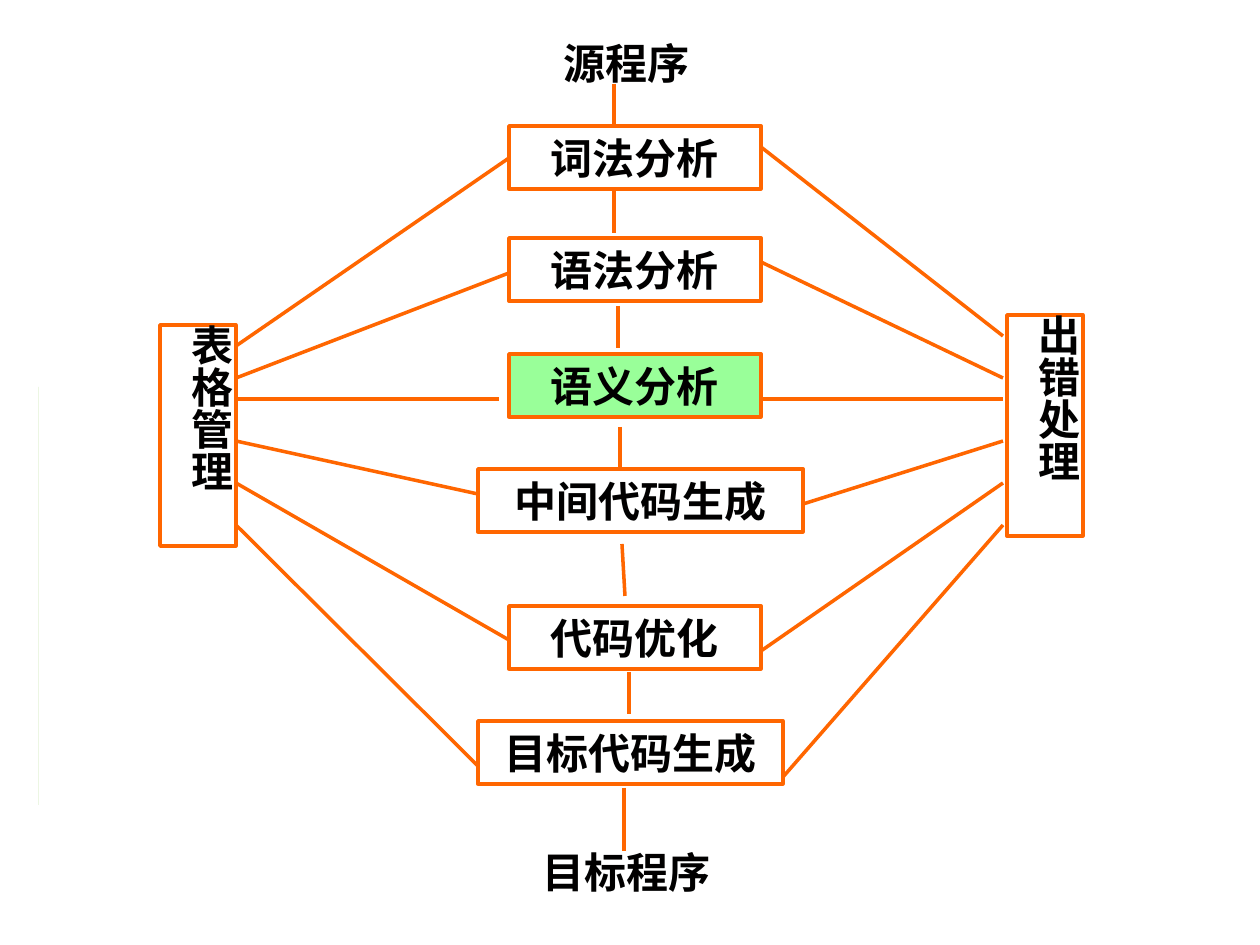
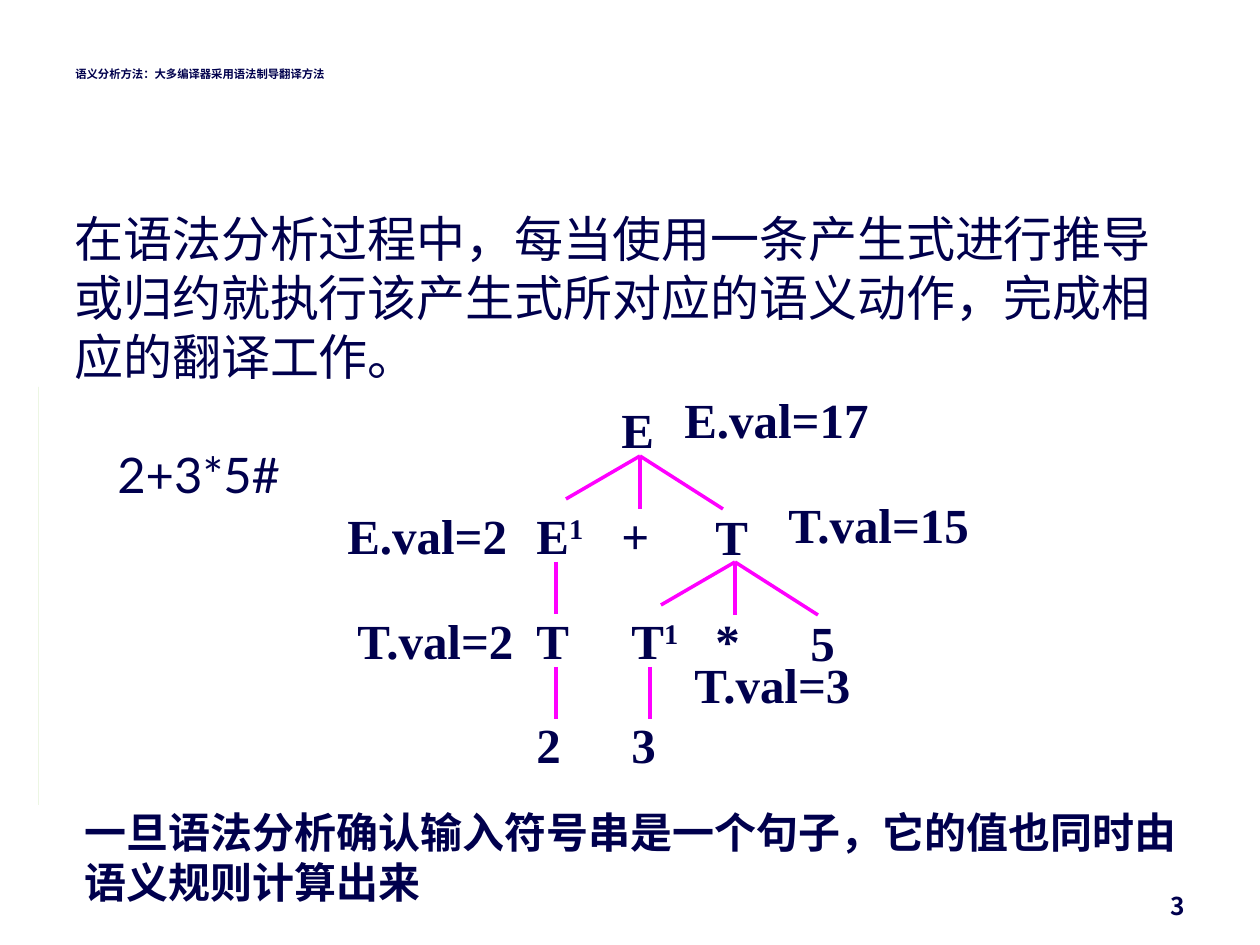
"""Builds two slides on semantic analysis: compiler phases and syntax-directed evaluation."""
import pptx
import pptx.dml.color
import pptx.enum.shapes
import pptx.enum.text
import pptx.oxml.ns
import pptx.util
from lxml import etree

EMU_PER_PX = 914400 / 126
ALIGN = pptx.enum.text.PP_ALIGN
ANCHOR = pptx.enum.text.MSO_ANCHOR
RECT = pptx.enum.shapes.MSO_SHAPE.RECTANGLE
STRAIGHT = pptx.enum.shapes.MSO_CONNECTOR.STRAIGHT
THEME = {
    "ink": "010000", "navy": "00004D", "orange": "FF6600", "magenta": "FF00FF",
    "white": "FFFFFF", "current": "99FF99", "edge": "6BBA27",
    "cjk": "Noto Sans CJK SC", "serif": "Times New Roman", "sans": "Lato",
    "title": 6.5, "number": 14, "label": 24, "body": 28, "stroke": 2,
}


def px(*lengths):
    return [round(length * EMU_PER_PX) for length in lengths]


def rgb(name):
    return pptx.dml.color.RGBColor.from_string(THEME[name])


def write(shape, text, size="label", color="ink", font="cjk", bold=True, raised="",
          align=ALIGN.LEFT, spacing=None, **frame_format):
    frame = shape.text_frame
    settings = {"word_wrap": True, "vertical_anchor": ANCHOR.MIDDLE,
                "margin_top": 0, "margin_bottom": 0, **frame_format}
    for name, value in settings.items():
        setattr(frame, name, value)
    paragraph = frame.paragraphs[0]
    paragraph.alignment = align
    if spacing:
        paragraph.line_spacing = pptx.util.Pt(spacing)
    for part in filter(None, (text, raised)):
        run = paragraph.add_run()
        run.text = part
        for name, value in {"name": THEME[font], "bold": bold,
                            "size": pptx.util.Pt(THEME[size])}.items():
            setattr(run.font, name, value)
        run.font.color.rgb = rgb(color)
        properties = run._r.get_or_add_rPr()
        east_asian = etree.Element(pptx.oxml.ns.qn("a:ea"), typeface=THEME["cjk"])
        properties.find(pptx.oxml.ns.qn("a:latin")).addnext(east_asian)
        if part == raised:
            properties.set("baseline", "30000")


def connect(slide, color, *ends):
    line = slide.shapes.add_connector(STRAIGHT, *px(*ends))
    line.line.color.rgb = rgb(color)
    line.line.width = pptx.util.Pt(THEME["stroke"])
    etree.SubElement(line._element.spPr, pptx.oxml.ns.qn("a:effectLst"))


deck = pptx.Presentation()
deck.slide_width, deck.slide_height = px(1260, 945)
phases, evaluation = [deck.slides.add_slide(deck.slide_layouts[6]) for _ in range(2)]
for slide in (phases, evaluation):
    outline = slide.shapes.build_freeform(39, 387, scale=EMU_PER_PX)
    outline.add_line_segments([(39, 399), (39, 805)], close=True)
    edge = outline.convert_to_shape()
    edge.shadow.inherit = False
    edge.fill.solid()
    edge.fill.fore_color.rgb = rgb("edge")
    edge.line.fill.background()

for program, left, top, width in [("目标程序", 530, 840, 221), ("源程序", 551, 31, 158)]:
    write(phases.shapes.add_textbox(*px(left, top, width, 63)), program)

stages = [
    ("词法分析", 509, 126, 252, "white"),
    ("语法分析", 509, 238, 252, "white"),
    ("语义分析", 509, 354, 252, "current"),
    ("中间代码生成", 478, 469, 325, "white"),
    ("代码优化", 509, 606, 252, "white"),
    ("目标代码生成", 478, 721, 305, "white"),
]
services = [("表格管理", 160, 325, 76, "white"), ("出错处理", 1007, 315, 76, "white")]
for box in stages + services:
    name, left, top, width, fill = box
    upright = box in services
    block = phases.shapes.add_shape(RECT, *px(left, top, width, 221 if upright else 63))
    block.shadow.inherit = False
    block.fill.solid()
    block.fill.fore_color.rgb = rgb(fill)
    block.line.color.rgb = rgb("orange")
    block.line.width = pptx.util.Pt(THEME["stroke"])
    if upright:
        write(block, name, align=ALIGN.CENTER, vertical_anchor=ANCHOR.TOP, margin_right=0)
        block.text_frame._txBody.bodyPr.set("vert", "eaVert")
    else:
        write(block, name, align=ALIGN.CENTER)

for step in [(614, 84, 614, 126), (614, 191, 614, 233), (618, 306, 618, 348),
             (620, 427, 620, 469), (622, 544, 625, 596), (629, 672, 629, 714),
             (624, 788, 624, 851)]:
    connect(phases, "orange", *step)

table_ys = [346, 378, 399, 441, 483, 525]
error_ys = [336, 378, 399, 441, 483, 525]
left_ends = [(509, 158), (509, 273), (499, 399), (478, 494), (509, 640), (478, 766)]
right_ys = [147, 262, 399, 504, 651, 777]
for stage, table_y, error_y, left_end, right_y in zip(
        stages, table_ys, error_ys, left_ends, right_ys):
    connect(phases, "orange", 236, table_y, *left_end)
    connect(phases, "orange", stage[1] + stage[3], right_y, 1003, error_y)

write(evaluation.shapes.add_textbox(*px(903, 861, 294, 65)), "3", "number", "navy",
      align=ALIGN.RIGHT, vertical_anchor=ANCHOR.BOTTOM, margin_bottom=px(6)[0])
write(evaluation.shapes.add_textbox(*px(63, 64, 1134, 20)),
      "语义分析方法：大多编译器采用语法制导翻译方法", "title", "navy")
write(evaluation.shapes.add_textbox(*px(62, 209, 1121, 236)),
      "在语法分析过程中，每当使用一条产生式进行推导或归约就执行该产生式所对应的语义动作，完成相应的翻译工作。",
      "body", "navy", bold=False, spacing=33.5, vertical_anchor=ANCHOR.TOP)

nodes = [
    ("E", "", 609, 393), ("E", "1", 524, 499), ("+", "", 609, 499), ("T", "", 703, 500),
    ("T", "", 524, 604), ("T", "1", 619, 604), ("*", "", 703, 604), ("5", "", 798, 606),
    ("2", "", 524, 708), ("3", "", 619, 708),
]
for symbol, index, left, top in nodes:
    write(evaluation.shapes.add_textbox(*px(left, top, 84 if index else 63, 72)),
          symbol, "body", "navy", "serif", raised=index)

for x, y in [(640, 456), (735, 562)]:
    for across, down in [(-74, 43), (0, 53), (83, 53)]:
        connect(evaluation, "magenta", x, y, x + across, y + down)
for x, y in [(556, 562), (556, 667), (650, 667)]:
    connect(evaluation, "magenta", x, y, x, y + 52)

for value, left, top in [("T.val=2", 345, 604), ("T.val=3", 682, 648), ("T.val=15", 776, 488),
                         ("E.val=2", 335, 499), ("E.val=17", 672, 383)]:
    write(evaluation.shapes.add_textbox(*px(left, top, 225, 72)), value, "body", "navy", "serif")

write(evaluation.shapes.add_textbox(*px(72, 807, 1134, 113)),
      "一旦语法分析确认输入符号串是一个句子，它的值也同时由语义规则计算出来",
      "label", "navy", "serif", spacing=28.6, vertical_anchor=ANCHOR.TOP)
write(evaluation.shapes.add_textbox(*px(105, 438, 192, 72)), "2+3*5#", "body", "navy", "sans",
      bold=False, word_wrap=False)

deck.save("out.pptx")
